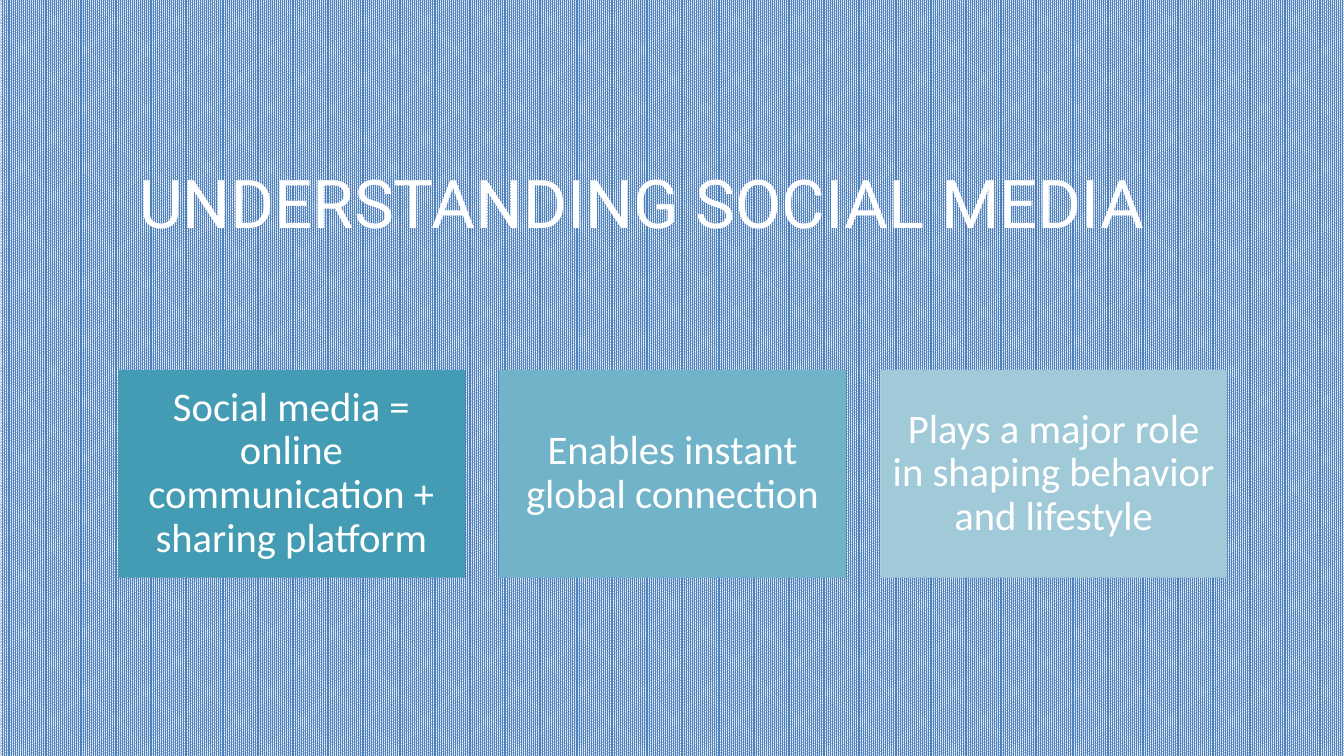
from dataclasses import dataclass

from pptx import Presentation
from pptx.dml.color import RGBColor
from pptx.enum.dml import MSO_PATTERN
from pptx.enum.shapes import MSO_SHAPE
from pptx.enum.text import MSO_ANCHOR, PP_ALIGN
from pptx.shapes.autoshape import Shape
from pptx.slide import Slide
from pptx.util import Inches, Pt

WIDTH, HEIGHT = Inches(13.33), Inches(7.5)
WHITE = RGBColor(0xFF, 0xFF, 0xFF)
BLUE = RGBColor(0x4F, 0x81, 0xBD)
TEAL = RGBColor(0x44, 0x9C, 0xB4)
MID_TEAL = RGBColor(0x71, 0xB3, 0xC8)
PALE_TEAL = RGBColor(0xA1, 0xCA, 0xD9)

# Percent of the slide's width or height
CARD_LEFT, CARD_TOP = 8.78, 48.93
CARD_WIDTH, CARD_HEIGHT = 25.81, 27.47
CARD_PITCH = 28.36


@dataclass(frozen=True)
class Card:
    text: str
    color: RGBColor


CARDS = [
    Card("Social media = online communication + sharing platform", TEAL),
    Card("Enables instant global connection", MID_TEAL),
    Card("Plays a major role in shaping behavior and lifestyle", PALE_TEAL),
]


def area(left: float, top: float, width: float, height: float) -> tuple[int, ...]:
    """Turn percentages of the slide into lengths."""
    return (int(WIDTH * left / 100), int(HEIGHT * top / 100),
            int(WIDTH * width / 100), int(HEIGHT * height / 100))


def write(sp: Shape, text: str, *, font: str, size: float,
          inset: float = 0.1, line_spacing: float = 1.0) -> None:
    """Put centred white text in a shape."""
    tf = sp.text_frame
    tf.word_wrap = True
    tf.vertical_anchor = MSO_ANCHOR.MIDDLE
    tf.margin_left = tf.margin_right = Inches(inset)
    tf.margin_top = tf.margin_bottom = Inches(inset)
    p = tf.paragraphs[0]
    p.alignment = PP_ALIGN.CENTER
    p.line_spacing = line_spacing
    r = p.add_run()
    r.text = text
    r.font.name = font
    r.font.size = Pt(size)
    r.font.color.rgb = WHITE


def draw_card(s: Slide, column: int, card: Card) -> None:
    left = CARD_LEFT + column * CARD_PITCH
    sp = s.shapes.add_shape(MSO_SHAPE.RECTANGLE,
                            *area(left, CARD_TOP, CARD_WIDTH, CARD_HEIGHT))
    sp.shadow.inherit = False
    sp.fill.solid()
    sp.fill.fore_color.rgb = card.color
    sp.line.fill.background()
    write(sp, card.text, font="Calibri", size=29, inset=0.12, line_spacing=0.9)


def main() -> None:
    prs = Presentation()
    prs.slide_width, prs.slide_height = WIDTH, HEIGHT
    s = prs.slides.add_slide(prs.slide_layouts[6])

    fill = s.background.fill
    fill.patterned()
    fill.pattern = MSO_PATTERN.PERCENT_90
    fill.fore_color.rgb = BLUE
    fill.back_color.rgb = WHITE

    title = s.shapes.add_textbox(*area(7.95, 10.53, 79.67, 32.4))
    write(title, "UNDERSTANDING SOCIAL MEDIA", font="Roboto", size=48)
    for column, card in enumerate(CARDS):
        draw_card(s, column, card)
    prs.save("out.pptx")


if __name__ == "__main__":
    main()
